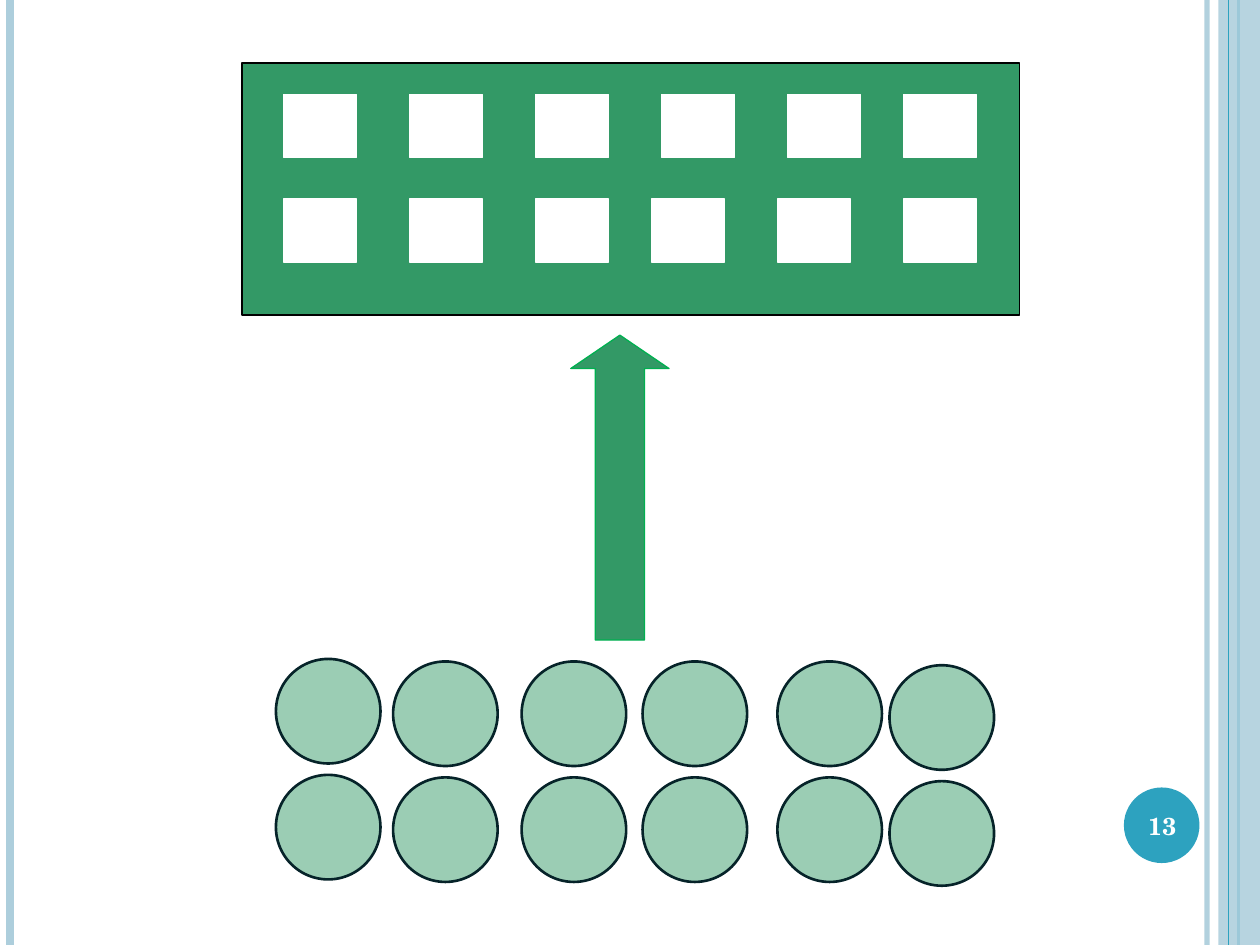
import pptx
import pptx.dml.color
import pptx.enum.shapes
import pptx.enum.text
import pptx.oxml.ns
import pptx.util
from lxml import etree

RGBColor = pptx.dml.color.RGBColor
Inches = pptx.util.Inches
Shapes = pptx.enum.shapes.MSO_SHAPE

PALE_BLUE = RGBColor(0xAD, 0xCE, 0xDC)
BLUE = RGBColor(0x2D, 0xA2, 0xBF)
GREEN = RGBColor(0x33, 0x99, 0x66)
ARROW_EDGE = RGBColor(0x00, 0xB0, 0x50)
CIRCLE_EDGE = RGBColor(0x06, 0x23, 0x29)
BLACK = RGBColor(0, 0, 0)
WHITE = RGBColor(0xFF, 0xFF, 0xFF)

WIDTH, HEIGHT = 10, 7.5
FONT = "TeX Gyre Schola"

# Column positions of the windows, one list per row
WINDOW_ROWS = {
    0.75: [2.25 + column for column in range(5)] + [7.17],
    1.58: [2.25 + column for column in range(3)] + [5.17 + column for column in range(3)],
}
WINDOW_SIZE = (0.58, 0.5)

# Left and top of the upper circle in each column
CIRCLE_COLUMNS = [(2.19, 5.23), (3.12, 5.25), (4.14, 5.25),
                  (5.1, 5.25), (6.17, 5.25), (7.06, 5.28)]
CIRCLE_SIZE = 0.83
CIRCLE_ROW_STEP = 0.92


def set_opacity(color_parent, percent):
    """Make the solid colour inside an element partly transparent."""
    color = color_parent.find(".//" + pptx.oxml.ns.qn("a:srgbClr"))
    alpha = etree.SubElement(color, pptx.oxml.ns.qn("a:alpha"))
    alpha.set("val", str(percent * 1000))


def add_figure(slide, kind, left, top, width, height, fill,
               edge=None, edge_width=0.75, opacity=100):
    shape = slide.shapes.add_shape(
        kind, Inches(left), Inches(top), Inches(width), Inches(height))
    shape.shadow.inherit = False
    shape.fill.solid()
    shape.fill.fore_color.rgb = fill
    if opacity < 100:
        set_opacity(shape._element.spPr, opacity)
    if edge is None:
        shape.line.fill.background()
    else:
        shape.line.color.rgb = edge
        shape.line.width = pptx.util.Pt(edge_width)
    return shape


def add_vertical_rule(slide, x, color, width, opacity=100):
    connector = slide.shapes.add_connector(
        pptx.enum.shapes.MSO_CONNECTOR.STRAIGHT,
        Inches(x), 0, Inches(x), Inches(HEIGHT))
    connector.line.color.rgb = color
    connector.line.width = pptx.util.Pt(width)
    properties = connector._element.spPr
    if opacity < 100:
        set_opacity(properties, opacity)
    etree.SubElement(properties, pptx.oxml.ns.qn("a:effectLst"))


def add_frame(slide):
    add_vertical_rule(slide, 9.58, PALE_BLUE, 3, 93)
    add_vertical_rule(slide, 0.08, PALE_BLUE, 4.5)
    add_vertical_rule(slide, 9.83, BLUE, 1.5)
    add_figure(slide, Shapes.RECTANGLE, 9.67, 0, WIDTH - 9.67, HEIGHT,
               PALE_BLUE, opacity=87)
    add_vertical_rule(slide, 9.75, BLUE, 0.75)
    add_figure(slide, Shapes.OVAL, 8.92, 6.25, 0.6, 0.6, BLUE)


def add_panel(slide):
    add_figure(slide, Shapes.RECTANGLE, 1.92, 0.5, 6.17, 2, GREEN, BLACK)
    for top, lefts in WINDOW_ROWS.items():
        for left in lefts:
            add_figure(slide, Shapes.RECTANGLE, left, top, *WINDOW_SIZE, WHITE, WHITE)


def add_up_arrow(slide):
    arrow = add_figure(slide, Shapes.UP_ARROW, 4.53, 2.66, 0.78, 2.42,
                       GREEN, ARROW_EDGE)
    arrow.adjustments[0] = 0.5
    arrow.adjustments[1] = 0.34


def add_circles(slide):
    for left, top in CIRCLE_COLUMNS:
        for row in range(2):
            add_figure(slide, Shapes.OVAL, left, top + row * CIRCLE_ROW_STEP,
                       CIRCLE_SIZE, CIRCLE_SIZE, GREEN, CIRCLE_EDGE, 1.5, 49)


def add_page_number(slide, number):
    box = slide.shapes.add_textbox(
        Inches(8.89), Inches(6.27), Inches(0.67), Inches(0.57))
    frame = box.text_frame
    frame.word_wrap = True
    frame.vertical_anchor = pptx.enum.text.MSO_ANCHOR.MIDDLE
    paragraph = frame.paragraphs[0]
    paragraph.alignment = pptx.enum.text.PP_ALIGN.CENTER
    run = paragraph.add_run()
    run.text = number
    run.font.name = FONT
    run.font.size = pptx.util.Pt(14)
    run.font.bold = True
    run.font.color.rgb = WHITE


def main():
    presentation = pptx.Presentation()
    presentation.slide_width = Inches(WIDTH)
    presentation.slide_height = Inches(HEIGHT)
    slide = presentation.slides.add_slide(presentation.slide_layouts[6])

    add_frame(slide)
    add_panel(slide)
    add_up_arrow(slide)
    add_circles(slide)
    add_page_number(slide, "13")

    presentation.save("out.pptx")


if __name__ == "__main__":
    main()
